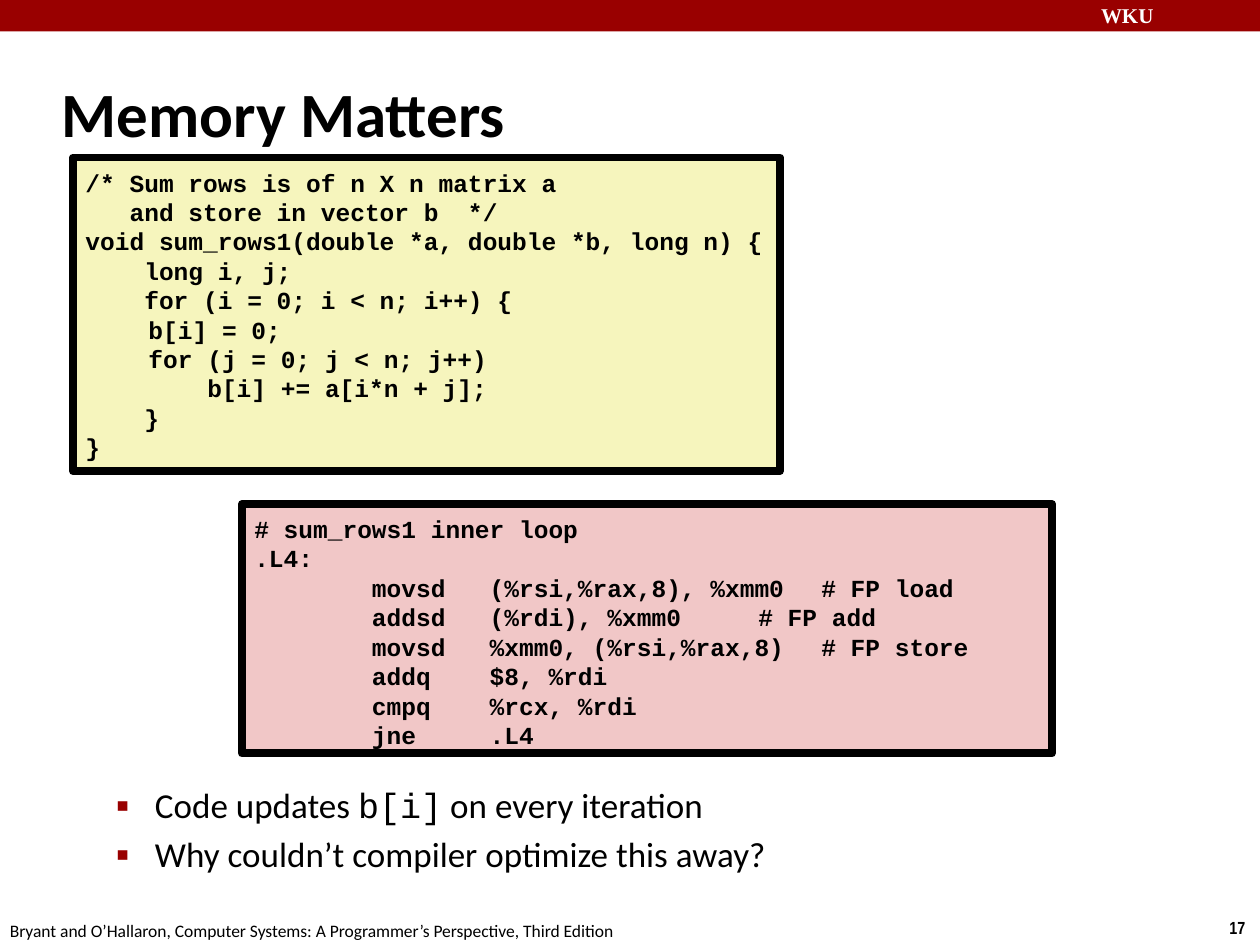
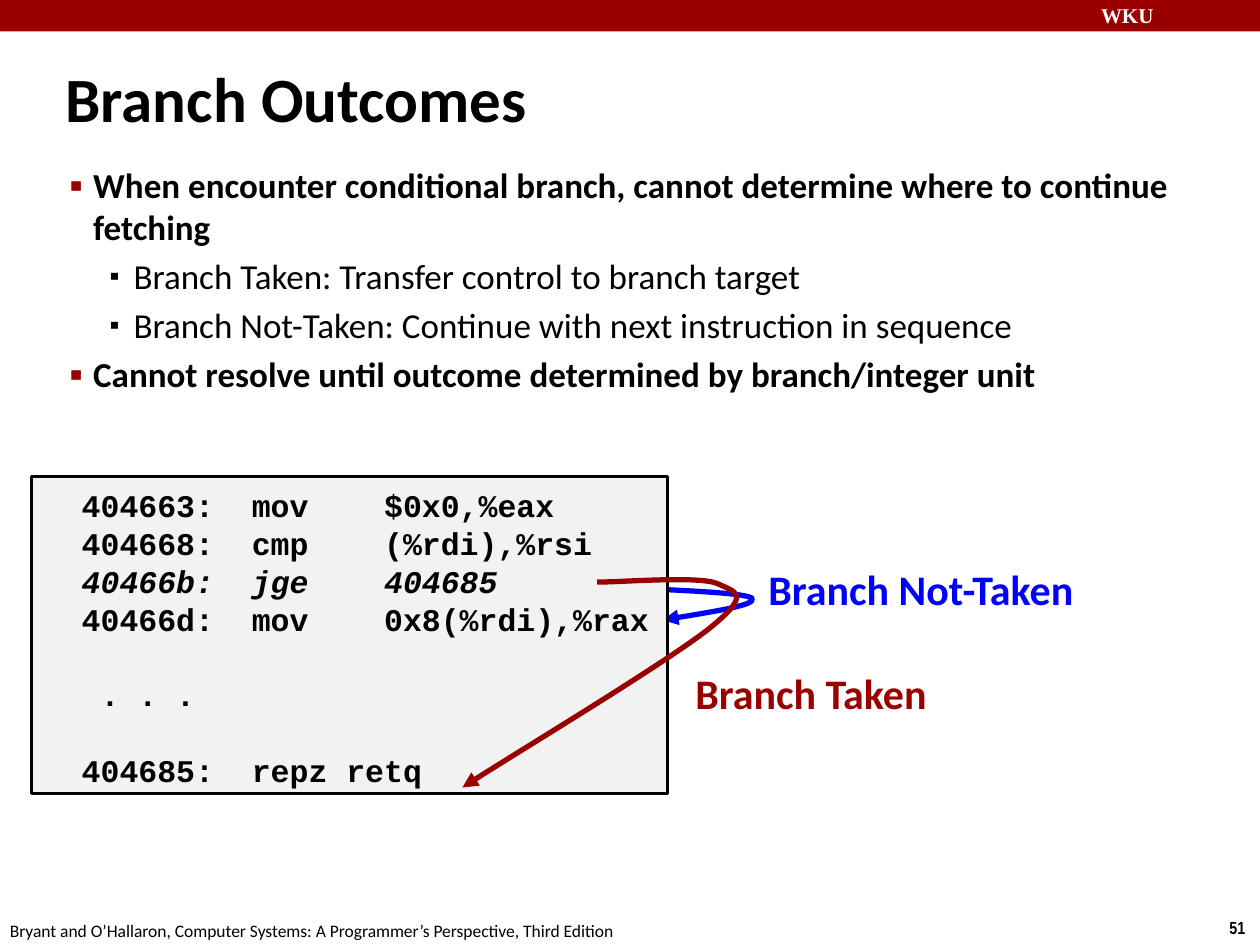
from lxml import etree
from pptx import Presentation
from pptx.dml.color import RGBColor
from pptx.enum.shapes import MSO_SHAPE
from pptx.enum.text import MSO_ANCHOR, MSO_AUTO_SIZE, PP_ALIGN
from pptx.oxml.ns import qn
from pptx.util import Inches, Pt

RECTANGLE = MSO_SHAPE.RECTANGLE
TOP, MIDDLE = MSO_ANCHOR.TOP, MSO_ANCHOR.MIDDLE
LEFT = PP_ALIGN.LEFT
NO_AUTOFIT = MSO_AUTO_SIZE.NONE

COLORS = {"red": "990000", "blue": "0000FF", "black": "000000", "white": "FFFFFF",
          "yellow": "F6F5BD", "pink": "F1C7C7", "gray": "F2F2F2"}
SANS, MONO = "Calibri", "Courier New"
WIDTH, HEIGHT = 10, 7.5
CODE_LEADING = 1.2  # line height as a multiple of the code size
FOOTER = "Bryant and O’Hallaron, Computer Systems: A Programmer’s Perspective, Third Edition"

# Bullet styles: level, left margin, hanging indent, bullet size in percent, bullet colour
OUTER = dict(level=1, margin=0.31, hang=0.19, bullet=110, bullet_color="red", bold=True)
INNER = dict(level=2, margin=0.63, hang=0.19, bullet=80, bullet_color="black")
REMARK = dict(level=1, margin=0.81, hang=0.31, bullet=110, bullet_color="red")
BLANK_LINE = dict(before=18 * CODE_LEADING)

# A text is a string or a list of (string, run format) pieces
SLIDES = [
    dict(
        number="17",
        title=("Memory Matters", (0.39, 0.48, 8.3, 0.83)),
        body_box=(0.32, 6.17, 9.09, 0.88),
        body=[
            ([("Code updates ", {}), ("b[i]", dict(font=MONO)),
              (" on every iteration", {})], REMARK),
            ("Why couldn’t compiler optimize this away?", REMARK),
        ],
        parts=[
            dict(kind="code", box=(1.92, 4, 6.43, 1.98), fill="pink", border=4.5, size=14,
                 lines=[
                     "# sum_rows1 inner loop",
                     ".L4:",
                     "        movsd   (%rsi,%rax,8), %xmm0\t# FP load",
                     "        addsd   (%rdi), %xmm0\t\t# FP add",
                     "        movsd   %xmm0, (%rsi,%rax,8)\t# FP store",
                     "        addq    $8, %rdi",
                     "        cmpq    %rcx, %rdi",
                     "        jne     .L4",
                 ]),
            dict(kind="code", box=(0.58, 1.25, 5.61, 2.49), fill="yellow", border=4.5, size=14,
                 lines=[
                     "/* Sum rows is of n X n matrix a",
                     "   and store in vector b  */",
                     "void sum_rows1(double *a, double *b, long n) {",
                     "    long i, j;",
                     "    for (i = 0; i < n; i++) {",
                     "\tb[i] = 0;",
                     "\tfor (j = 0; j < n; j++)",
                     "\t    b[i] += a[i*n + j];",
                     "    }",
                     "}",
                 ]),
        ],
    ),
    dict(
        number="51",
        title=("Branch Outcomes", (0.42, 0.46, 6.49, 0.63)),
        body_box=(0.33, 1.25, 9.58, 2),
        body=[
            ("When encounter conditional branch, cannot determine where to continue fetching",
             OUTER),
            ("Branch Taken: Transfer control to branch target", INNER),
            ("Branch Not-Taken: Continue with next instruction in sequence", INNER),
            ("Cannot resolve until outcome determined by branch/integer unit", OUTER),
        ],
        parts=[
            dict(kind="label", text="Branch Taken", box=(5.42, 5.25, 2.1, 0.5), color="red"),
            dict(kind="curve", color="blue", arrow="tailEnd",
                 points=[(5.08, 4.67), (5.51, 4.69), (5.94, 4.71), (5.97, 4.75),
                         (6, 4.8), (5.63, 4.86), (5.26, 4.92)]),
            dict(kind="label", text="Branch Not-Taken", box=(6, 4.42, 2.72, 0.5), color="blue"),
            dict(kind="code", box=(0.25, 3.78, 5.05, 2.52), fill="gray", border=1.5, size=18,
                 lines=[
                     "  404663:  mov    $0x0,%eax",
                     "  404668:  cmp    (%rdi),%rsi",
                     ("  40466b:  jge    404685", dict(italic=True)),
                     "  40466d:  mov    0x8(%rdi),%rax",
                     ("   . . .", BLANK_LINE),
                     ("  404685:  repz retq", BLANK_LINE),
                 ]),
            dict(kind="curve", color="red", arrow="headEnd",
                 points=[(3.67, 6.25), (3.99, 6.04), (5.3, 5.25), (5.64, 4.98),
                         (5.97, 4.71), (5.84, 4.7), (5.69, 4.63),
                         (5.54, 4.57), (4.94, 4.62), (4.74, 4.62)]),
        ],
    ),
]


def rgb(name):
    return RGBColor.from_string(COLORS[name])


def place(shape, box):
    shape.left, shape.top, shape.width, shape.height = map(Inches, box)


def set_bullet(paragraph, margin, hang, size, color):
    properties = paragraph._p.get_or_add_pPr()
    properties.set("marL", str(Inches(margin)))
    properties.set("indent", str(-Inches(hang)))
    if size:
        bullet_color = etree.SubElement(properties, qn("a:buClr"))
        etree.SubElement(bullet_color, qn("a:srgbClr"), val=COLORS[color])
        etree.SubElement(properties, qn("a:buSzPct"), val=str(size * 1000))
        etree.SubElement(properties, qn("a:buChar"), char="▪")
    else:
        etree.SubElement(properties, qn("a:buNone"))


def write(paragraph, text, font=SANS, size=20, color="black", bold=False, italic=False,
          level=0, margin=0, hang=0, bullet=None, bullet_color="black",
          before=0, leading=None):
    """Fill one paragraph with a string or with formatted pieces."""
    set_bullet(paragraph, margin, hang, bullet, bullet_color)
    paragraph.level = level
    paragraph.alignment = LEFT
    paragraph.space_before = Pt(before)
    if leading:
        paragraph.line_spacing = Pt(leading)
    for piece, changes in [(text, {})] if isinstance(text, str) else text:
        run = paragraph.add_run()
        run.text = piece
        run.font.name = changes.get("font", font)
        run.font.size = Pt(size)
        run.font.bold = bold
        run.font.italic = italic
        run.font.color.rgb = rgb(color)


def fill_frame(frame, lines, anchor=TOP, wrap=True, top_inset=0.05, **common):
    """Write lines, each a text or a (text, format) pair, into a text frame."""
    frame.word_wrap = wrap
    frame.auto_size = NO_AUTOFIT
    frame.vertical_anchor = anchor
    frame.margin_left = frame.margin_right = Inches(0.1)
    frame.margin_top, frame.margin_bottom = Inches(top_inset), Inches(0.05)
    for index, line in enumerate(lines):
        text, changes = line if isinstance(line, tuple) else (line, {})
        paragraph = frame.add_paragraph() if index else frame.paragraphs[0]
        write(paragraph, text, **{**common, **changes})


def add_label(slide, text, box, wrap=True, **text_format):
    label = slide.shapes.add_textbox(*map(Inches, box))
    fill_frame(label.text_frame, [text], wrap=wrap, **text_format)


def add_rectangle(slide, box, fill, border=None):
    rectangle = slide.shapes.add_shape(RECTANGLE, *map(Inches, box))
    rectangle.shadow.inherit = False
    rectangle.fill.solid()
    rectangle.fill.fore_color.rgb = rgb(fill)
    if border:
        rectangle.line.color.rgb = rgb("black")
        rectangle.line.width = Pt(border)
    else:
        rectangle.line.fill.background()
    return rectangle


def add_code(slide, box, lines, size, fill, border):
    panel = add_rectangle(slide, box, fill, border)
    fill_frame(panel.text_frame, lines, top_inset=0.08, font=MONO, size=size, bold=True,
               leading=size * CODE_LEADING)


def add_curve(slide, points, color, arrow):
    """Draw cubic curves through every third point; the others are control points."""
    start, *others = [(Inches(x), Inches(y)) for x, y in points]
    builder = slide.shapes.build_freeform(*start, scale=1.0)
    builder.add_line_segments(others, close=False)
    curve = builder.convert_to_shape()
    curve.shadow.inherit = False
    curve.fill.background()
    curve.line.color.rgb = rgb(color)
    curve.line.width = Pt(3)
    etree.SubElement(curve.line._get_or_add_ln(), qn("a:" + arrow), type="triangle")
    # Turn each three straight segments into one cubic segment
    segments = list(curve._element.iter(qn("a:lnTo")))
    path = segments[0].getparent()
    for index in range(0, len(segments), 3):
        cubic = etree.SubElement(path, qn("a:cubicBezTo"))
        for segment in segments[index:index + 3]:
            cubic.append(segment[0])
            path.remove(segment)


def add_frame(slide, number):
    """Add the band and footers that every slide has."""
    add_rectangle(slide, (0, 0, WIDTH, 0.25), "red")
    add_label(slide, "WKU", (8.64, -0.03, 1.36, 0.3), font="Times New Roman", size=12,
              color="white", bold=True)
    add_label(slide, number, (9.66, 7.23, 0.34, 0.27), wrap=False, font="Arial Narrow",
              size=10, bold=True)
    add_label(slide, FOOTER, (-0.02, 7.25, 5.08, 0.25), size=10)


def add_part(slide, kind, **settings):
    if kind == "code":
        add_code(slide, **settings)
    elif kind == "curve":
        add_curve(slide, **settings)
    else:
        add_label(slide, size=24, bold=True, **settings)


def build_slide(presentation, content):
    slide = presentation.slides.add_slide(presentation.slide_layouts[1])
    add_frame(slide, content["number"])

    # Title and list
    title, body = slide.shapes.title, slide.placeholders[1]
    title_text, title_box = content["title"]
    place(title, title_box)
    fill_frame(title.text_frame, [title_text], anchor=MIDDLE, size=36, bold=True,
               margin=0.13, hang=0.13)
    place(body, content["body_box"])
    first, *rest = content["body"]
    spaced = [(text, {**style, "before": 4}) for text, style in rest]
    fill_frame(body.text_frame, [first, *spaced])

    # Code panels, labels and arrows
    for part in content["parts"]:
        add_part(slide, **part)


def main():
    presentation = Presentation()
    presentation.slide_width, presentation.slide_height = Inches(WIDTH), Inches(HEIGHT)
    for content in SLIDES:
        build_slide(presentation, content)
    presentation.save("out.pptx")


if __name__ == "__main__":
    main()
